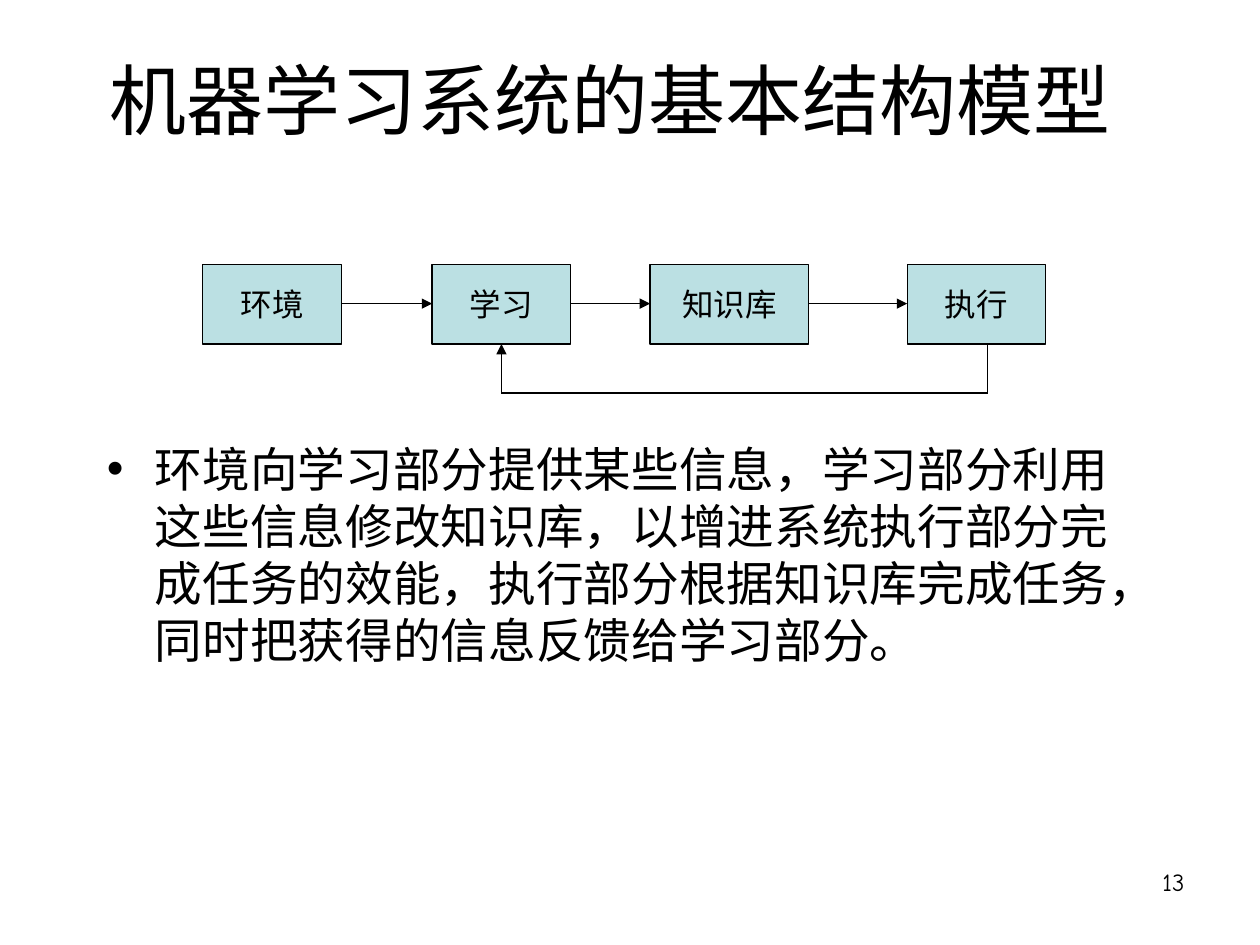
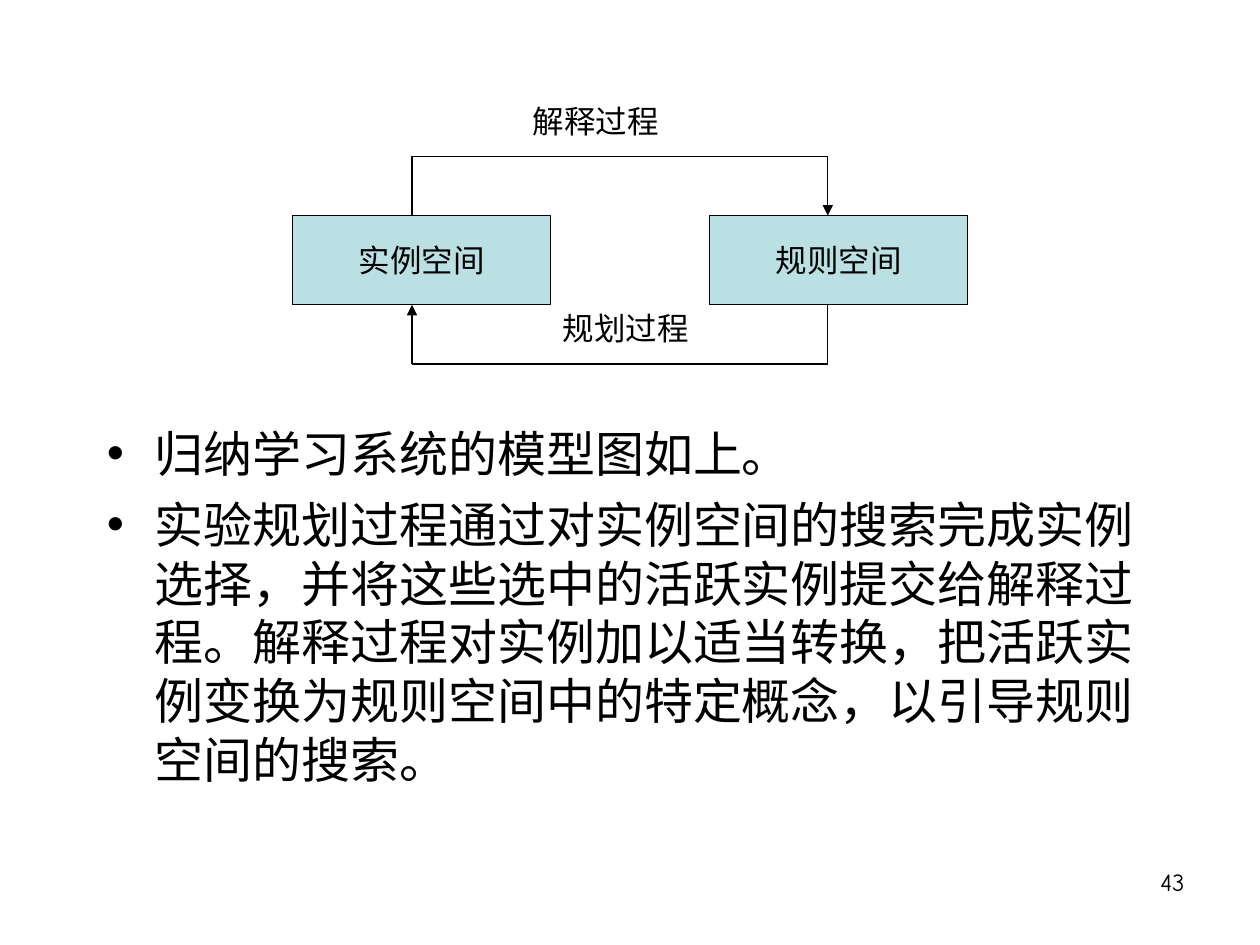
from itertools import pairwise

from lxml.etree import SubElement
from pptx import Presentation
from pptx.dml.color import RGBColor
from pptx.enum.lang import MSO_LANGUAGE_ID as LANG
from pptx.enum.shapes import MSO_CONNECTOR as CONN, MSO_SHAPE as SHAPE
from pptx.enum.text import MSO_ANCHOR as ANCHOR, MSO_AUTO_SIZE as FIT, PP_ALIGN as ALIGN
from pptx.oxml.ns import qn
from pptx.util import Pt

SCALE = 9144
TITLE_ONLY, BLANK = 5, 6
BLACK, PALE_TEAL = "000000", "BBE0E3"
TEXT_FONT, DIAGRAM_FONT = "Arial", "Comic Neue"
LINE_WIDTH = 0.75


def px(*lengths):
    return [n * SCALE for n in lengths]


def color(hex_value):
    return RGBColor.from_string(hex_value)


def add_run(p, text, size, font):
    r = p.add_run()
    r.text = text
    r.font.size = Pt(size)
    r.font.name = font
    r.font.language_id = LANG.SIMPLIFIED_CHINESE
    r.font.color.rgb = color(BLACK)


def set_title(s, text):
    sp = s.shapes.title
    sp.left, sp.top, sp.width, sp.height = px(75, 17, 819, 122)
    tf = sp.text_frame
    tf.auto_size = FIT.NONE
    tf.vertical_anchor = ANCHOR.MIDDLE
    p = tf.paragraphs[0]
    p.alignment = ALIGN.CENTER
    add_run(p, text, 44, TEXT_FONT)


def add_label(s, text, box, size=18, align=ALIGN.LEFT):
    tf = s.shapes.add_textbox(*px(*box)).text_frame
    tf.word_wrap = True
    p = tf.paragraphs[0]
    p.alignment = align
    add_run(p, text, size, DIAGRAM_FONT)


def add_page_number(s, number):
    add_label(s, number, (717, 683, 233, 52), 14, ALIGN.RIGHT)


def add_bullets(s, texts, top, height, size):
    tf = s.shapes.add_textbox(*px(75, top, 842, height)).text_frame
    tf.word_wrap = True
    for i, text in enumerate(texts):
        p = tf.add_paragraph() if i else tf.paragraphs[0]
        if i:
            p.space_before = Pt(7)
        pPr = p._p.get_or_add_pPr()
        indent, = px(38)
        pPr.set("marL", str(indent))
        pPr.set("indent", str(-indent))
        SubElement(pPr, qn("a:buFont")).set("typeface", TEXT_FONT)
        SubElement(pPr, qn("a:buChar")).set("char", "•")
        add_run(p, text, size, TEXT_FONT)


def add_node(s, text, left, top, width, height):
    sp = s.shapes.add_shape(SHAPE.RECTANGLE, *px(left, top, width, height))
    sp.shadow.inherit = False
    sp.fill.solid()
    sp.fill.fore_color.rgb = color(PALE_TEAL)
    sp.line.color.rgb = color(BLACK)
    sp.line.width = Pt(LINE_WIDTH)
    tf = sp.text_frame
    tf.word_wrap = False
    tf.vertical_anchor = ANCHOR.MIDDLE
    p = tf.paragraphs[0]
    p.alignment = ALIGN.CENTER
    add_run(p, text, 18, DIAGRAM_FONT)


def add_arrow(s, *points):
    for start, end in pairwise(points):
        line = s.shapes.add_connector(CONN.STRAIGHT, *px(*start, *end))
        line.line.color.rgb = color(BLACK)
        line.line.width = Pt(LINE_WIDTH)
        SubElement(line._element.spPr, qn("a:effectLst"))
    SubElement(line.line._get_or_add_ln(), qn("a:tailEnd")).set("type", "triangle")


def build_structure_slide(prs):
    s = prs.slides.add_slide(prs.slide_layouts[TITLE_ONLY])
    add_page_number(s, "13")
    set_title(s, "机器学习系统的基本结构模型")
    add_bullets(s, ["环境向学习部分提供某些信息，学习部分利用这些信息修改知识库，"
                    "以增进系统执行部分完成任务的效能，执行部分根据知识库完成任务，"
                    "同时把获得的信息反馈给学习部分。"], 344, 256, 27.2)
    top, height, flow_y = 210, 63, 241
    nodes = [("环境", 161, 110), ("学习", 343, 110), ("知识库", 516, 126), ("执行", 720, 110)]
    for text, left, width in nodes:
        add_node(s, text, left, top, width, height)
    for (_, left, width), (_, next_left, _) in pairwise(nodes):
        add_arrow(s, (left + width, flow_y), (next_left, flow_y))
    bottom, feedback_y = top + height, 312
    add_arrow(s, (784, bottom), (784, feedback_y), (398, feedback_y), (398, bottom))


def build_induction_slide(prs):
    s = prs.slides.add_slide(prs.slide_layouts[BLANK])
    add_page_number(s, "43")
    add_bullets(s, ["归纳学习系统的模型图如上。",
                    "实验规划过程通过对实例空间的搜索完成实例选择，"
                    "并将这些选中的活跃实例提交给解释过程。解释过程对实例加以适当转换，"
                    "把活跃实例变换为规则空间中的特定概念，以引导规则空间的搜索。"], 331, 327, 28)
    top, height, reach = 171, 71, 47
    for text, left in (("实例空间", 232), ("规则空间", 563)):
        add_node(s, text, left, top, 205, height)
    instance_x, rule_x, bottom = 327, 657, top + height
    for start_x, end_x, edge, turn in ((instance_x, rule_x, top, top - reach),
                                       (rule_x, instance_x, bottom, bottom + reach)):
        add_arrow(s, (start_x, edge), (start_x, turn), (end_x, turn), (end_x, edge))
    add_label(s, "解释过程", (413, 76, 150, 40))
    add_label(s, "规划过程", (437, 240, 150, 40))


def main():
    prs = Presentation()
    prs.slide_width, prs.slide_height = px(1000, 750)
    build_structure_slide(prs)
    build_induction_slide(prs)
    prs.save("out.pptx")


if __name__ == "__main__":
    main()
